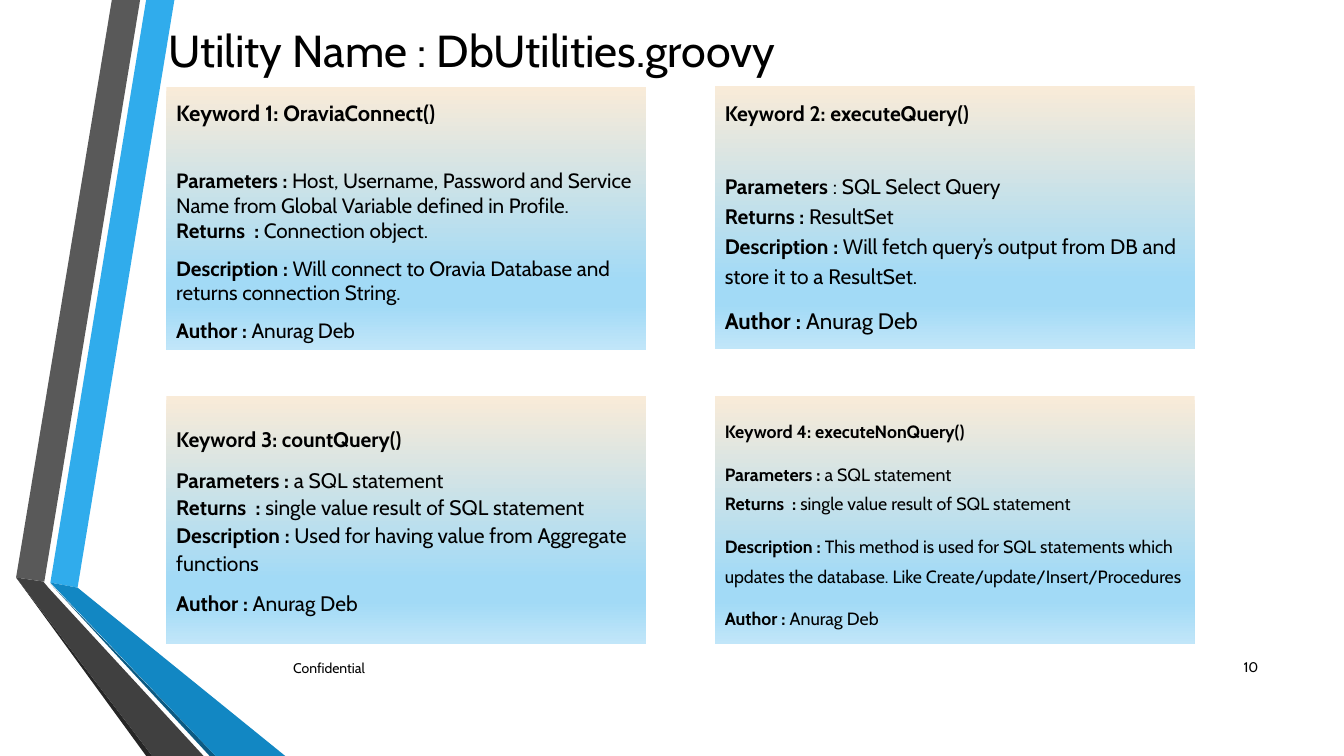
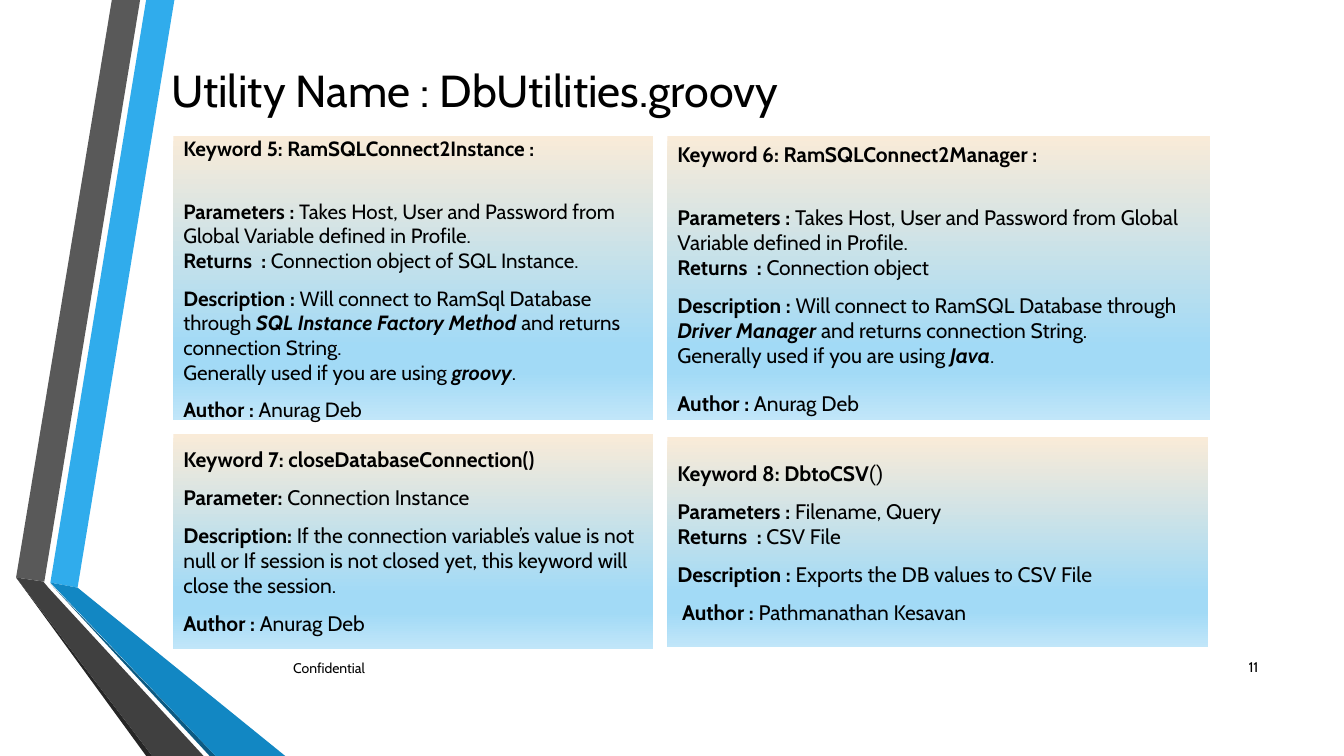
from lxml import etree
from pptx import Presentation
from pptx import util as u
from pptx.dml.color import RGBColor
from pptx.enum import shapes, text
from pptx.oxml.ns import qn

PX = 9144  # EMU per px, 100 px to the inch
FONT = "Cabin"
HEX = {
    "ink": "000000", "sky": "30ACEC", "grey": "595959", "dark": "262626",
    "navy": "0C5A82", "blue": "1287C3", "coal": "404040",
    "cream": "F9EBD8", "pale": "A2DAF6", "ice": "C1E6F9",
}
FADE = [(0, "cream"), (74, "pale"), (83, "pale"), (100, "ice")]

# Ribbon outlines on the left edge, back to front
RIBBON = [
    ("sky", [(50, 578), (77, 583), (173, 0), (145, 0)]),
    ("grey", [(139, 0), (111, 0), (16, 573), (44, 577)]),
    ("dark", [(16, 573), (145, 750), (151, 750)]),
    ("navy", [(50, 579), (208, 750), (214, 750)]),
    ("blue", [(50, 578), (214, 750), (283, 750), (77, 583)]),
    ("coal", [(202, 750), (48, 583), (43, 577), (16, 573), (151, 750)]),
]

# Run marks after each "|": * bold, ~ bold italic, ^ light symbol, none plain
MARKS = {"*": (True, False, FONT), "~": (True, True, FONT),
         "^": (False, False, "Roboto")}

# Card defaults; lead and last are the gaps (pt) around the middle blocks
BASE = {"size": 15, "head": 15, "end": 15, "space": 1, "lead": 9, "last": 9}

# Each block is a paragraph group; its lines follow without a gap
SLIDES = [
    {"no": "10", "title": (21, 0, 894, 99), "cards": [
        {"box": (165, 86, 476, 261), "top": 13, "size": 14.8, "head": 15.7,
         "end": 14.8, "lead": 30, "blocks": [
             ["*Keyword 1: OraviaConnect()"],
             ["*Parameters : |Host, Username, Password and Service Name "
              "from Global Variable defined in Profile.",
              "*Returns  : |Connection object."],
             ["*Description : |Will connect to Oravia Database and returns "
              "connection String."],
             ["*Author : |Anurag Deb"]]},
        {"box": (709, 85, 476, 261), "top": 10, "end": 16, "space": 1.2,
         "lead": 30, "blocks": [
             ["*Keyword 2: executeQuery()"],
             ["*Parameters |: SQL Select Query",
              "*Returns : |ResultSet",
              "*Description : |Will fetch query’s output from DB and store "
              "it to a ResultSet."],
             ["*Author : |Anurag Deb"]]},
        {"box": (165, 393, 476, 246), "top": 28, "space": 1.1, "blocks": [
            ["*Keyword 3: countQuery()"],
            ["*Parameters : |a SQL statement",
             "*Returns  : |single value result of SQL statement",
             "*Description : |Used for having value from Aggregate functions"],
            ["*Author : |Anurag Deb"]]},
        {"box": (709, 393, 476, 246), "top": 16, "size": 12.7, "head": 12.7,
         "end": 12.7, "space": 1.4, "blocks": [
             ["*Keyword 4: executeNonQuery()"],
             ["*Parameters : |a SQL statement",
              "*Returns  : |single value result of SQL statement"],
             ["*Description : |This method is used for SQL statements which "
              "updates the database. Like Create/update/Insert/Procedures"],
             ["*Author : |Anurag Deb"]]},
    ]},
    {"no": "11", "title": (111, 42, 720, 93), "cards": [
        {"box": (172, 135, 476, 282), "top": 0, "size": 14.7, "head": 14.7,
         "end": 14.7, "lead": 27, "blocks": [
             ["*Keyword 5: RamSQLConnect2Instance :"],
             ["*Parameters : |Takes Host, User and Password from Global "
              "Variable defined in Profile.",
              "*Returns  : |Connection object of SQL Instance."],
             ["*Description : |Will connect to RamSql Database through "
              "|~SQL Instance Factory Method |and returns connection String.",
              "Generally used if you are using |~groovy|."],
             ["*Author : |Anurag Deb"]]},
        {"box": (662, 135, 538, 282), "top": 5, "lead": 27, "last": 16,
         "blocks": [
             ["*Keyword 6: RamSQLConnect2Manager :"],
             ["*Parameters : |Takes Host, User and Password from Global "
              "Variable defined in Profile.",
              "*Returns  : |Connection object"],
             ["*Description : |Will connect to RamSQL Database through "
              "|~Driver Manager |and returns connection String.",
              "Generally used if you are using |~Java|."],
             ["*Author : |Anurag Deb"]]},
        {"box": (172, 431, 476, 213), "top": 12, "blocks": [
            ["*Keyword 7: closeDatabaseConnection()"],
            ["*Parameter: |Connection Instance"],
            ["*Description: |If the connection variable’s value is not null "
             "or If session is not closed yet, this keyword will close the "
             "session."],
            ["*Author : |Anurag Deb"]]},
        {"box": (662, 434, 536, 208), "top": 23, "blocks": [
            ["*Keyword 8: DbtoCSV|^()"],
            ["*Parameters : |Filename, Query", "*Returns  : |CSV File"],
            ["*Description : |Exports the DB values to CSV File"],
            [" |*Author : |Pathmanathan Kesavan"]]},
    ]},
]


def color(name):
    return RGBColor.from_string(HEX[name])


def emu(box):
    return [n * PX for n in box]


def style(run, size, bold=False, slant=False, face=FONT):
    font = run.font
    font.name, font.size = face, u.Pt(size)
    font.bold, font.italic = bold, slant
    font.color.rgb = color("ink")


def ribbon(slide):
    for name, pts in RIBBON:
        pen = slide.shapes.build_freeform(*pts[0], scale=PX)
        pen.add_line_segments(pts[1:], close=True)
        band = pen.convert_to_shape()
        band.shadow.inherit = False
        band.fill.solid()
        band.fill.fore_color.rgb = color(name)
        band.line.fill.background()


def label(shape, words, size, align):
    frame = shape.text_frame
    frame.word_wrap = True
    frame.vertical_anchor = text.MSO_ANCHOR.MIDDLE
    frame.text = words
    para = frame.paragraphs[0]
    para.alignment = align
    style(para.runs[0], size)


def fade(shape):
    shape.fill.gradient()
    shape.fill.gradient_angle = 270  # top to bottom
    stops = shape._element.spPr.find(qn("a:gradFill")).find(qn("a:gsLst"))
    for old in list(stops):
        stops.remove(old)
    for pos, name in FADE:
        stop = etree.SubElement(stops, qn("a:gs"), pos=str(pos * 1000))
        etree.SubElement(stop, qn("a:srgbClr"), val=HEX[name])


def card(slide, data):
    data = {**BASE, **data}
    shape = slide.shapes.add_shape(shapes.MSO_SHAPE.RECTANGLE,
                                   *emu(data["box"]))
    shape.shadow.inherit = False
    shape.line.fill.background()
    fade(shape)
    frame = shape.text_frame
    frame.word_wrap = True
    frame.vertical_anchor = text.MSO_ANCHOR.TOP
    frame.margin_left, frame.margin_right = 10 * PX, 5 * PX
    frame.margin_top, frame.margin_bottom = data["top"] * PX, 0

    # Size and gap of each block: heading, middle ones, author
    mid = len(data["blocks"]) - 2
    sizes = [data["head"]] + [data["size"]] * mid + [data["end"]]
    gaps = [0, data["lead"]] + [9] * (mid - 1) + [data["last"]]
    para = None
    for block, size, gap in zip(data["blocks"], sizes, gaps):
        for i, line in enumerate(block):
            para = frame.add_paragraph() if para else frame.paragraphs[0]
            para.alignment = text.PP_ALIGN.LEFT
            para.line_spacing = data["space"]
            para.space_before = u.Pt(0 if i else gap)
            para.space_after = u.Pt(0)
            for part in line.split("|"):
                look = MARKS.get(part[0])
                run = para.add_run()
                run.text = part[1:] if look else part
                style(run, size, *(look or ()))


def main():
    deck = Presentation()
    deck.slide_width, deck.slide_height = emu((1333, 750))
    for data in SLIDES:
        slide = deck.slides.add_slide(deck.slide_layouts[5])
        ribbon(slide)

        # Title
        title = slide.shapes.title
        title.left, title.top, title.width, title.height = emu(data["title"])
        label(title, "Utility Name : DbUtilities.groovy", 32,
              text.PP_ALIGN.CENTER)

        # Keyword cards
        for item in data["cards"]:
            card(slide, item)

        # Footer and slide number
        for box, words, align in [
                ((281, 643, 775, 40), "Confidential", text.PP_ALIGN.LEFT),
                ((1198, 642, 60, 40), data["no"], text.PP_ALIGN.RIGHT)]:
            label(slide.shapes.add_textbox(*emu(box)), words, 10, align)
    deck.save("out.pptx")


if __name__ == "__main__":
    main()
